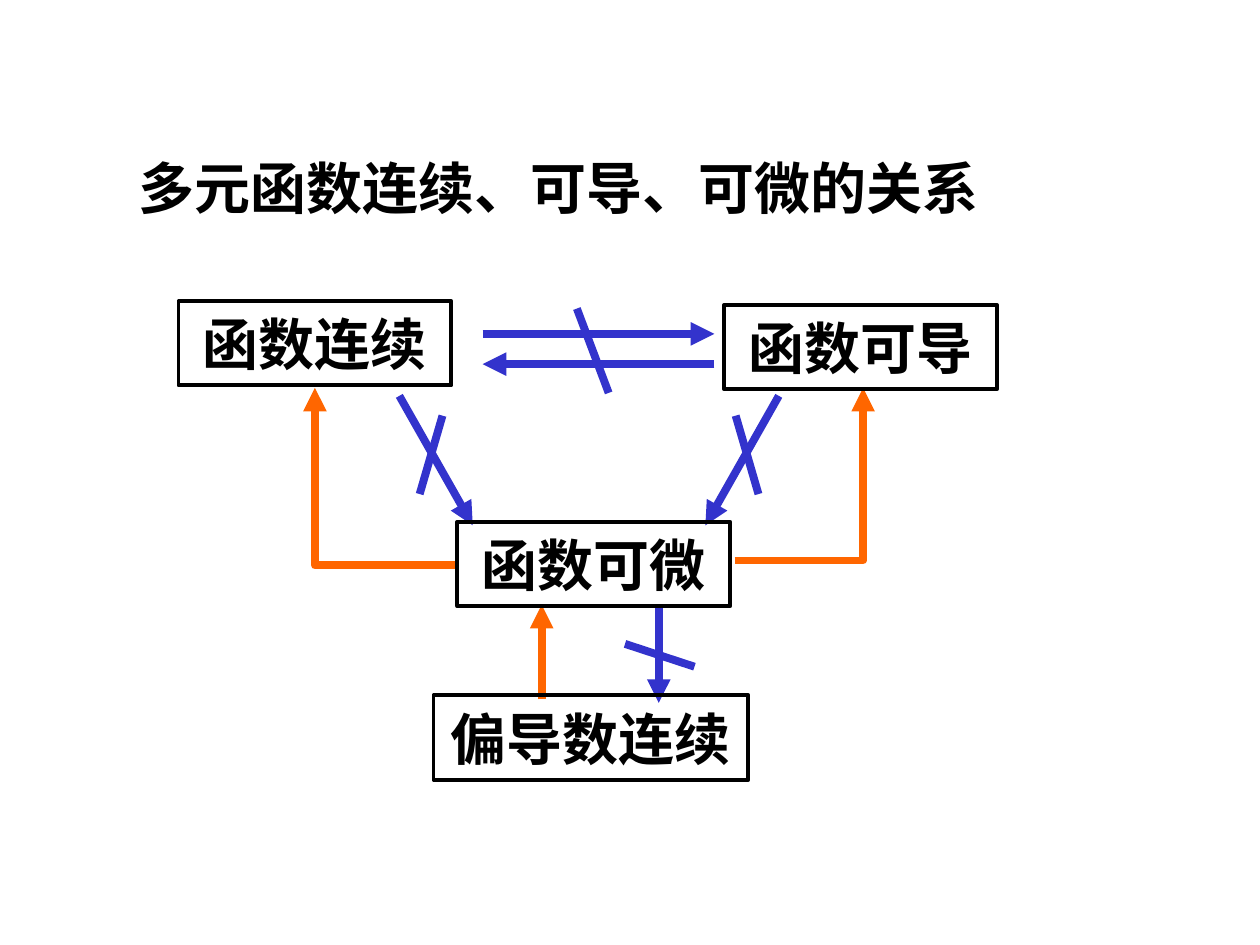
from collections import namedtuple
from dataclasses import dataclass

from lxml.etree import SubElement
from pptx import Presentation
from pptx.dml.color import RGBColor
from pptx.enum.shapes import MSO_CONNECTOR, MSO_SHAPE
from pptx.enum.text import MSO_ANCHOR, PP_ALIGN
from pptx.oxml.ns import qn
from pptx.util import Cm, Pt

Box = namedtuple("Box", "left top width height")


@dataclass(frozen=True)
class Theme:
    font: str = "Times New Roman"
    text_size: float = 32
    text: RGBColor = RGBColor(0x00, 0x00, 0x00)
    implies: RGBColor = RGBColor(0xFF, 0x66, 0x00)
    fails: RGBColor = RGBColor(0x33, 0x33, 0xCC)
    arrow_width: float = 4.5
    border_width: float = 2.25


THEME = Theme()
TITLE_BOX = Box(2.54, 2.97, 20.75, 1.63)
DIAGRAM_BOX = Box(3.6, 6, 16.6, 9.8)
MIRROR_SUM = 16.55  # x of a left arrow plus x of its right twin
NODE_HEIGHT = 1.7

NODES = [  # text, left, top, width
    ("函数连续", 0, 0.07, 5.5),
    ("函数可导", 11, 0.15, 5.5),
    ("函数可微", 5.62, 4.52, 5.5),
    ("偏导数连续", 5.14, 8.02, 6.35),
]


def write_text(shape, text, *, align=PP_ALIGN.LEFT, anchor=MSO_ANCHOR.TOP,
               size=THEME.text_size, color=THEME.text, bold=True, wrap=True):
    frame = shape.text_frame
    frame.word_wrap = wrap
    frame.vertical_anchor = anchor
    frame.margin_left = frame.margin_right = Cm(0.25)
    frame.margin_top = frame.margin_bottom = Cm(0.13)
    paragraph = frame.paragraphs[0]
    paragraph.alignment = align
    paragraph.line_spacing = 1
    paragraph.space_before = Pt(0)
    run = paragraph.add_run()
    run.text = text
    run.font.name = THEME.font
    run.font.size = Pt(size)
    run.font.bold = bold
    run.font.color.rgb = color


def add_title(slide, box):
    title = slide.shapes.title
    title.left, title.top, title.width, title.height = map(Cm, box)
    write_text(title, "多元函数连续、可导、可微的关系")


def add_line(slide, box, start, end, color, *, arrow=True, elbow=False):
    """Draw a line between two points given in cm from the corner of box."""
    kind = MSO_CONNECTOR.ELBOW if elbow else MSO_CONNECTOR.STRAIGHT
    connector = slide.shapes.add_connector(
        kind,
        Cm(box.left + start[0]), Cm(box.top + start[1]),
        Cm(box.left + end[0]), Cm(box.top + end[1]))
    connector.line.color.rgb = color
    connector.line.width = Pt(THEME.arrow_width)
    properties = connector._element.spPr
    if elbow:  # one corner only
        properties.find(qn("a:prstGeom")).set("prst", "bentConnector2")
    if arrow:
        SubElement(properties.find(qn("a:ln")), qn("a:tailEnd"), type="triangle")
    SubElement(properties, qn("a:effectLst"))


def add_failing_arrows(slide, box, arrows, strike):
    """Draw arrows crossed out by one stroke."""
    for start, end in arrows:
        add_line(slide, box, start, end, THEME.fails)
    add_line(slide, box, *strike, THEME.fails, arrow=False)


def mirror(point):
    return round(MIRROR_SUM - point[0], 2), point[1]


def add_relations(slide, box):
    left_arrow = ((4.45, 1.98), (5.93, 4.59))
    left_strike = ((5.32, 2.38), (4.86, 3.96))
    add_failing_arrows(slide, box, [left_arrow], left_strike)
    add_failing_arrows(slide, box, [tuple(map(mirror, left_arrow))],
                       tuple(map(mirror, left_strike)))
    add_failing_arrows(slide, box,
                       [((6.13, 0.73), (10.8, 0.73)), ((10.8, 1.34), (6.13, 1.34))],
                       ((8.03, 0.22), (8.67, 1.92)))
    add_failing_arrows(slide, box, [((9.68, 6.24), (9.68, 8.17))],
                       ((9, 6.98), (10.4, 7.44)))

    add_line(slide, box, (5.57, 5.4), (2.75, 1.82), THEME.implies, elbow=True)
    add_line(slide, box, (11.21, 5.3), (13.8, 1.82), THEME.implies, elbow=True)
    add_line(slide, box, (7.32, 8.1), (7.32, 6.19), THEME.implies)


def add_nodes(slide, box):
    for text, left, top, width in NODES:
        node = slide.shapes.add_shape(
            MSO_SHAPE.RECTANGLE, Cm(box.left + left), Cm(box.top + top),
            Cm(width), Cm(NODE_HEIGHT))
        node.shadow.inherit = False
        node.fill.background()
        node.line.color.rgb = THEME.text
        node.line.width = Pt(THEME.border_width)
        write_text(node, text, align=PP_ALIGN.CENTER,
                   anchor=MSO_ANCHOR.MIDDLE, wrap=False)


def main():
    presentation = Presentation()
    presentation.slide_width, presentation.slide_height = Cm(25.4), Cm(19.05)
    title_only = presentation.slide_layouts.get_by_name("Title Only")
    slide = presentation.slides.add_slide(title_only)
    add_title(slide, TITLE_BOX)
    add_relations(slide, DIAGRAM_BOX)
    add_nodes(slide, DIAGRAM_BOX)
    presentation.save("out.pptx")


if __name__ == "__main__":
    main()
